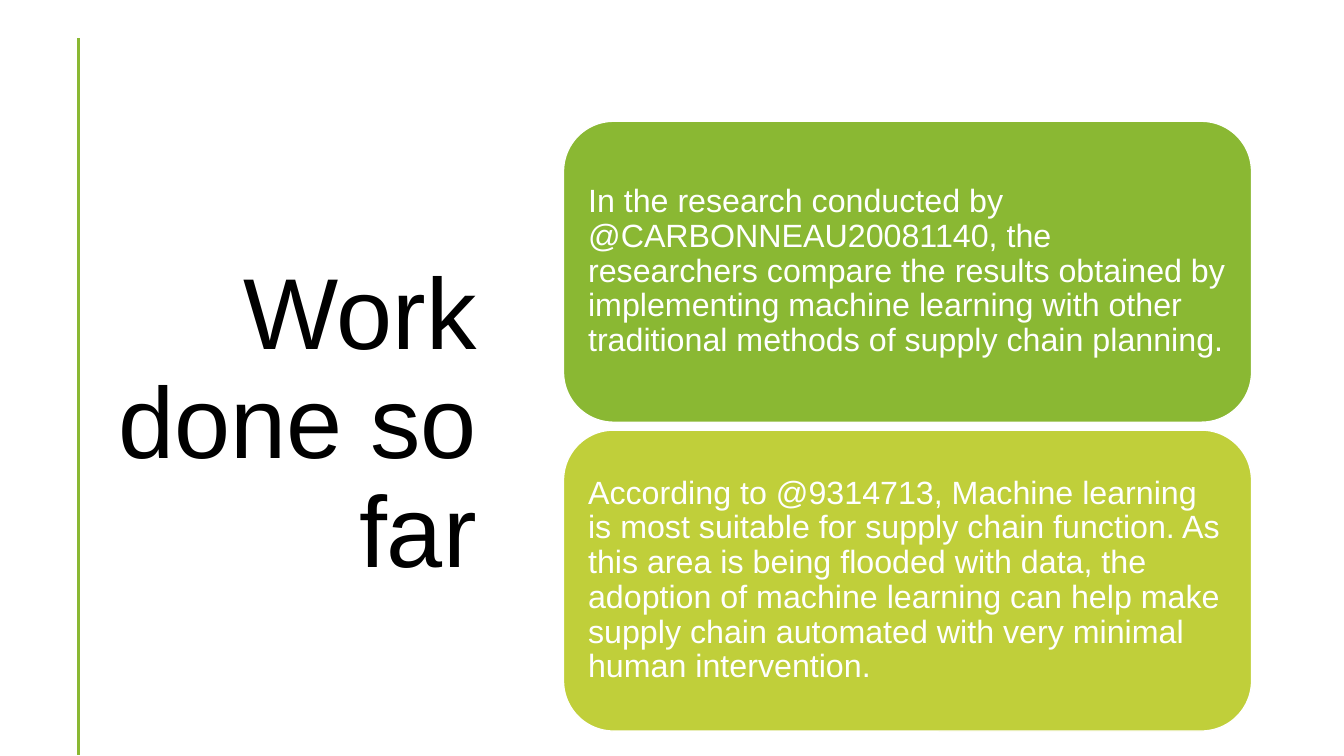
from dataclasses import dataclass
from pptx import Presentation
from pptx.dml.color import RGBColor as RGB
from pptx.enum.shapes import MSO_CONNECTOR as CONN, MSO_SHAPE as SHAPE
from pptx.enum.text import MSO_ANCHOR as ANCHOR, MSO_AUTO_SIZE as AUTO, PP_ALIGN as ALIGN
from pptx.oxml.ns import qn
from pptx.util import Pt


@dataclass(frozen=True)
class Theme:
    font: str = "Arial"
    title_size: float = 72
    card_size: float = 23
    line_spacing: float = 0.9
    text: RGB = RGB(0, 0, 0)
    white: RGB = RGB(255, 255, 255)
    green: RGB = RGB(0x8A, 0xB8, 0x33)
    lime: RGB = RGB(0xC0, 0xCF, 0x3A)


THEME = Theme()
CARD_TOP, CARD_PITCH = 86.6, 220.6
FINDINGS = [
    ("In the research conducted by @CARBONNEAU20081140, the researchers compare "
     "the results obtained by implementing machine learning with other traditional "
     "methods of supply chain planning.", THEME.green),
    ("According to @9314713, Machine learning is most suitable for supply chain "
     "function. As this area is being flooded with data, the adoption of machine "
     "learning can help make supply chain automated with very minimal human "
     "intervention.", THEME.lime),
]


def set_text(sp, text, size, color, align):
    tf = sp.text_frame
    tf.text = text
    tf.word_wrap = True
    tf.auto_size = AUTO.NONE
    tf.vertical_anchor = ANCHOR.MIDDLE
    tf.margin_left = tf.margin_right = tf.margin_top = tf.margin_bottom = Pt(7.2)
    p = tf.paragraphs[0]
    p.alignment = align
    p.line_spacing = THEME.line_spacing
    p.font.name = THEME.font
    p.font.size = Pt(size)
    p.font.color.rgb = color


def add_title(s, text):
    sp = s.shapes.title
    sp.left, sp.top, sp.width, sp.height = Pt(37.4), Pt(84.2), Pt(310.3), Pt(440)
    set_text(sp, text, THEME.title_size, THEME.text, ALIGN.RIGHT)


def add_rule(s, x, top, bottom):
    line = s.shapes.add_connector(CONN.STRAIGHT, Pt(x), Pt(top), Pt(x), Pt(bottom))
    line.line.color.rgb = THEME.green
    line.line.width = Pt(2)
    sp_pr = line._element.spPr
    sp_pr.append(sp_pr.makeelement(qn("a:effectLst"), {}))


def add_card(s, top, text, fill):
    sp = s.shapes.add_shape(SHAPE.ROUNDED_RECTANGLE, Pt(402.5), Pt(top), Pt(491.5), Pt(215))
    sp.shadow.inherit = False
    sp.fill.solid()
    sp.fill.fore_color.rgb = fill
    sp.line.color.rgb = THEME.white
    sp.line.width = Pt(1)
    set_text(sp, text, THEME.card_size, THEME.white, ALIGN.LEFT)


def main():
    prs = Presentation()
    prs.slide_width, prs.slide_height = Pt(960), Pt(540)
    s = prs.slides.add_slide(prs.slide_layouts[5])
    add_rule(s, 56, 27.5, 539.5)
    add_title(s, "Work done so far")
    for i, (text, fill) in enumerate(FINDINGS):
        add_card(s, CARD_TOP + i * CARD_PITCH, text, fill)
    prs.save("out.pptx")


if __name__ == "__main__":
    main()
